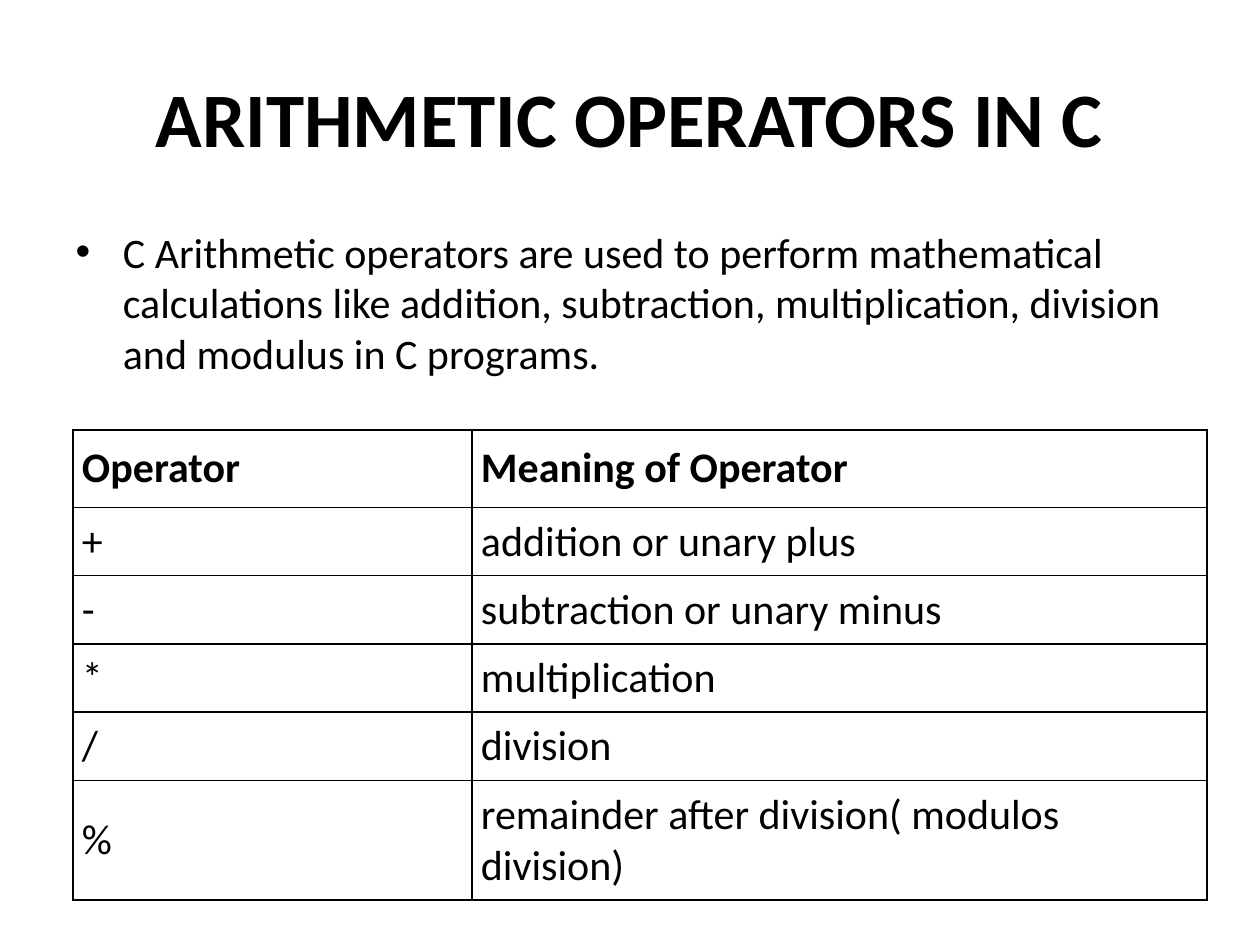
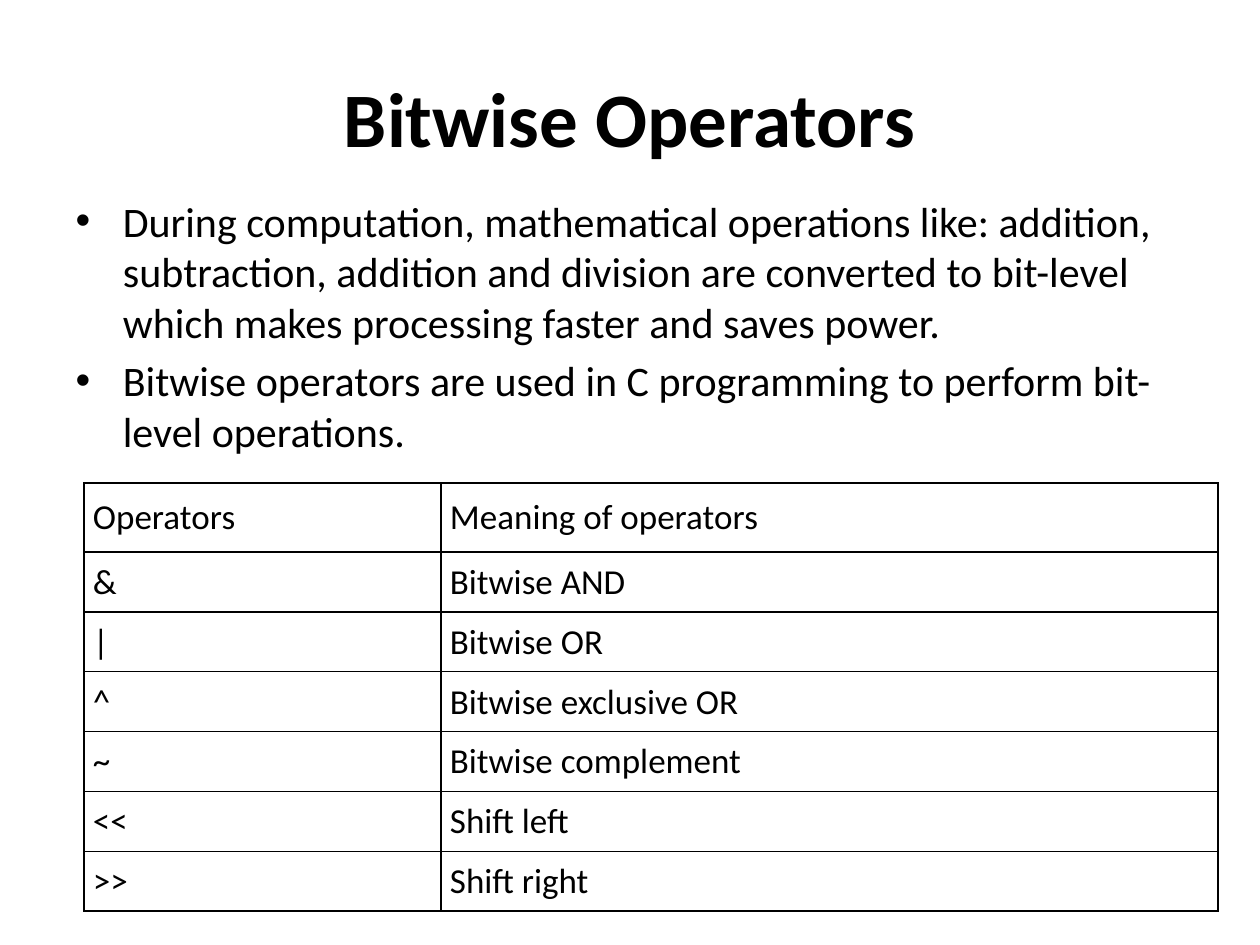
from lxml.etree import SubElement as Sub
from pptx import Presentation
from pptx.dml.color import RGBColor
from pptx.enum.text import MSO_ANCHOR as Anchor, MSO_AUTO_SIZE as Fit, PP_ALIGN as Align
from pptx.oxml.ns import qn
from pptx.util import Pt

SCALE = 914400 / 126
BLACK = RGBColor(0, 0, 0)
FONT = "Calibri"
SIDES = ("a:lnL", "a:lnR", "a:lnT", "a:lnB")


def px(n):
    return round(n * SCALE)


def write(para, text, size, bold=False):
    run = para.add_run()
    run.text = text
    run.font.name = FONT
    run.font.size = Pt(size)
    run.font.bold = bold
    run.font.color.rgb = BLACK


PAGES = [
    {
        "title": "ARITHMETIC OPERATORS IN C",
        "top": 220,
        "list": [
            "C Arithmetic operators are used to perform mathematical calculations like "
            "addition, subtraction, multiplication, division and modulus in C programs.",
        ],
        "at": (73, 430),
        "cols": (399, 735),
        "highs": (76, 68, 68, 68, 68, 119),
        "size": 24,
        "bold": True,
        "rows": [
            ("Operator", "Meaning of Operator"),
            ("+", "addition or unary plus"),
            ("-", "subtraction or unary minus"),
            ("*", "multiplication"),
            ("/", "division"),
            ("%", "remainder after division( modulos division)"),
        ],
    },
    {
        "title": "Bitwise Operators",
        "top": 189,
        "list": [
            "During computation, mathematical operations like: addition, subtraction, "
            "addition and division are converted to bit-level which makes processing "
            "faster and saves power.",
            "Bitwise operators are used in C programming to perform bit-level operations.",
        ],
        "at": (84, 483),
        "cols": (357, 777),
        "highs": (68,) + (59,) * 6,
        "size": 20,
        "bold": False,
        "rows": [
            ("Operators", "Meaning of operators"),
            ("&", "Bitwise AND"),
            ("|", "Bitwise OR"),
            ("^", "Bitwise exclusive OR"),
            ("~", "Bitwise complement"),
            ("<<", "Shift left"),
            (">>", "Shift right"),
        ],
    },
]

deck = Presentation()
deck.slide_width, deck.slide_height = px(1260), px(945)

for page in PAGES:
    slide = deck.slides.add_slide(deck.slide_layouts[1])

    title = slide.shapes.title
    title.left, title.top, title.width, title.height = px(63), px(38), px(1134), px(158)
    frame = title.text_frame
    frame.auto_size = Fit.NONE
    frame.vertical_anchor = Anchor.MIDDLE
    frame.paragraphs[0].alignment = Align.CENTER
    write(frame.paragraphs[0], page["title"], 44, True)

    body = slide.placeholders[1]
    body.left, body.top, body.width, body.height = px(63), px(page["top"]), px(1134), px(624)
    frame = body.text_frame
    frame.auto_size = Fit.NONE
    for i, text in enumerate(page["list"]):
        para = frame.add_paragraph() if i else frame.paragraphs[0]
        para.space_before = Pt(4.8 if i else 0)
        write(para, text, 24)

    rows, cols, highs = page["rows"], page["cols"], page["highs"]
    left, top = page["at"]
    table = slide.shapes.add_table(
        len(rows), len(cols), px(left), px(top), px(sum(cols)), px(sum(highs))
    ).table
    table.first_row = table.horz_banding = False
    for c, wide in enumerate(cols):
        table.columns[c].width = px(wide)
    for r, (row, high) in enumerate(zip(rows, highs)):
        table.rows[r].height = px(high)
        for c, text in enumerate(row):
            cell = table.cell(r, c)
            cell.vertical_anchor = Anchor.MIDDLE
            cell.margin_left, cell.margin_right = px(9), px(8)
            cell.margin_top = px(9 if r else 13)
            cell.margin_bottom = px(8 if r else 13)
            props = cell._tc.get_or_add_tcPr()
            for side in SIDES:
                line = Sub(props, qn(side), w=str(Pt(1)))
                paint = Sub(line, qn("a:solidFill"))
                Sub(paint, qn("a:srgbClr"), val=str(BLACK))
            cell.fill.background()
            write(cell.text_frame.paragraphs[0], text, page["size"], page["bold"] and r == 0)

deck.save("out.pptx")
